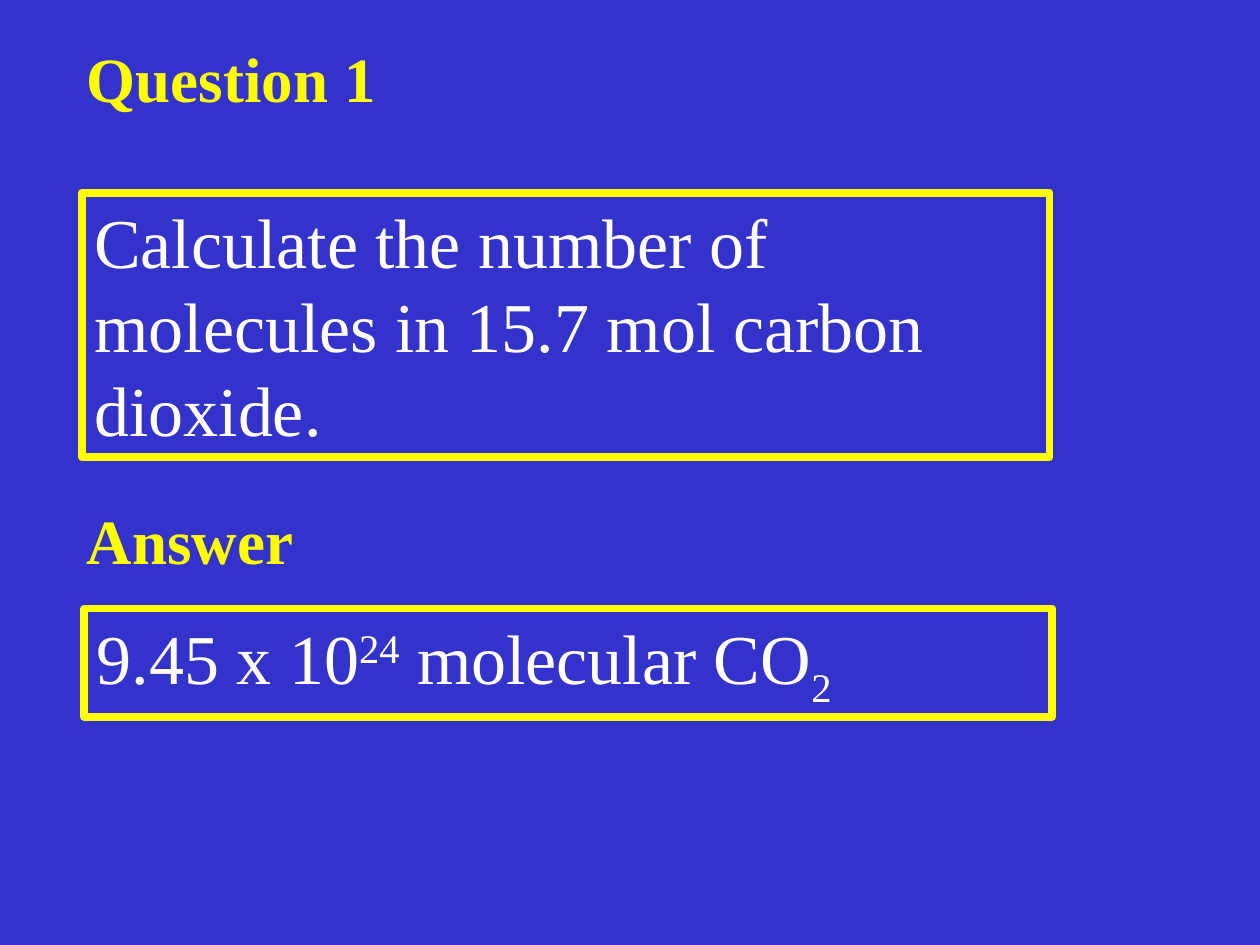
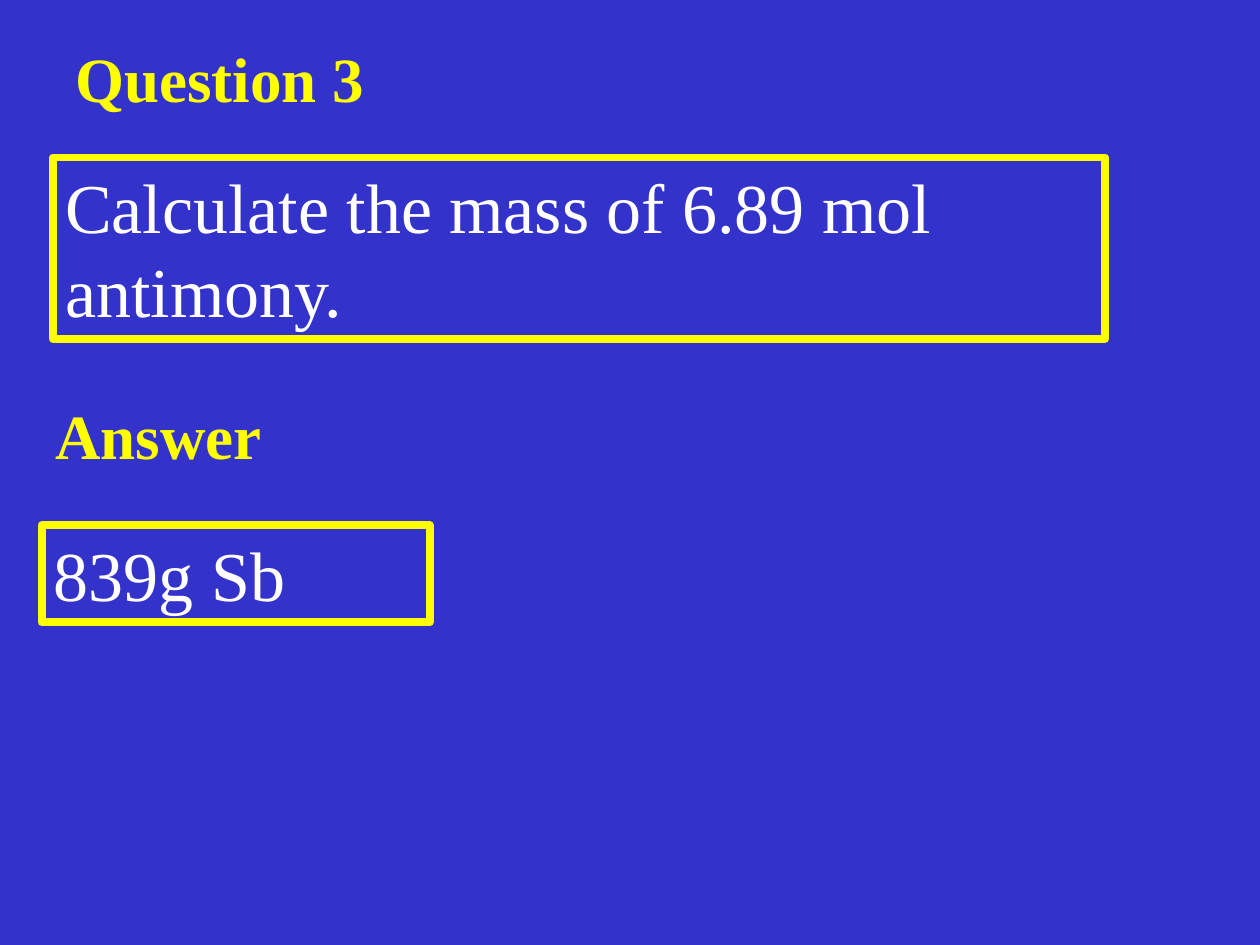
from dataclasses import dataclass

from pptx import Presentation
from pptx.dml.color import RGBColor
from pptx.enum.shapes import MSO_SHAPE
from pptx.enum.text import MSO_ANCHOR, MSO_AUTO_SIZE, PP_ALIGN
from pptx.util import Emu, Pt

# Shared style: 100 px to the inch
EMU_PER_PX = 9144
SLIDE_WIDTH, SLIDE_HEIGHT = 1000, 750
BLUE = RGBColor(0x33, 0x33, 0xCC)
YELLOW = RGBColor(0xFF, 0xFF, 0x00)
WHITE = RGBColor(0xFF, 0xFF, 0xFF)
FONT = "Times New Roman"
HEADING_SIZE, BODY_SIZE = Pt(36), Pt(40)
FRAME_WIDTH = Pt(4.5)
SUPERSCRIPT, SUBSCRIPT = 30000, -25000


@dataclass(frozen=True)
class Box:
    left: int
    top: int
    width: int
    height: int

    def emu(self) -> tuple[Emu, ...]:
        lengths = (self.left, self.top, self.width, self.height)
        return tuple(Emu(length * EMU_PER_PX) for length in lengths)


@dataclass(frozen=True)
class Run:
    text: str
    baseline: int = 0


@dataclass(frozen=True)
class Exercise:
    title: str
    title_box: Box
    question: list[Run]
    question_box: Box
    answer_heading_box: Box
    answer: list[Run]
    answer_box: Box


EXERCISES = [
    Exercise(
        "Question 1", Box(59, 33, 261, 64),
        [Run("Calculate the number of molecules in 15.7 mol carbon dioxide.")],
        Box(65, 153, 768, 210),
        Box(59, 400, 184, 64),
        [Run("9.45 x 10"), Run("24", SUPERSCRIPT),
         Run(" molecular CO"), Run("2", SUBSCRIPT)],
        Box(67, 483, 768, 86),
    ),
    Exercise(
        "Question 3", Box(50, 33, 261, 64),
        [Run("Calculate the mass of 6.89 mol antimony.")],
        Box(42, 125, 835, 144),
        Box(34, 317, 184, 64),
        [Run("839g Sb")],
        Box(33, 417, 308, 77),
    ),
]


def set_text(shape, runs: list[Run], size: Pt, color: RGBColor,
             bold: bool, wrap: bool) -> None:
    """Write one left-aligned paragraph from the top of the shape."""
    frame = shape.text_frame
    frame.word_wrap = wrap
    frame.auto_size = MSO_AUTO_SIZE.SHAPE_TO_FIT_TEXT
    frame.vertical_anchor = MSO_ANCHOR.TOP
    paragraph = frame.paragraphs[0]
    paragraph.alignment = PP_ALIGN.LEFT
    for part in runs:
        run = paragraph.add_run()
        run.text = part.text
        if part.baseline:
            run.font._element.set("baseline", str(part.baseline))
    font = paragraph.font
    font.name, font.size, font.bold = FONT, size, bold
    font.color.rgb = color


def format_heading(shape, text: str) -> None:
    set_text(shape, [Run(text)], HEADING_SIZE, YELLOW, bold=True, wrap=False)
    shape.text_frame.paragraphs[0].line_spacing = 0.9


def add_framed_text(slide, box: Box, runs: list[Run]) -> None:
    shape = slide.shapes.add_shape(MSO_SHAPE.RECTANGLE, *box.emu())
    shape.shadow.inherit = False
    shape.fill.background()
    shape.line.color.rgb = YELLOW
    shape.line.width = FRAME_WIDTH
    set_text(shape, runs, BODY_SIZE, WHITE, bold=False, wrap=True)


def add_exercise(presentation, exercise: Exercise) -> None:
    slide = presentation.slides.add_slide(presentation.slide_layouts[5])

    # Question
    title = slide.shapes.title
    title.left, title.top, title.width, title.height = exercise.title_box.emu()
    format_heading(title, exercise.title)
    add_framed_text(slide, exercise.question_box, exercise.question)

    # Answer
    heading = slide.shapes.add_textbox(*exercise.answer_heading_box.emu())
    format_heading(heading, "Answer")
    add_framed_text(slide, exercise.answer_box, exercise.answer)


def main() -> None:
    presentation = Presentation()
    presentation.slide_width = Emu(SLIDE_WIDTH * EMU_PER_PX)
    presentation.slide_height = Emu(SLIDE_HEIGHT * EMU_PER_PX)
    background = presentation.slide_master.background.fill
    background.solid()
    background.fore_color.rgb = BLUE
    for exercise in EXERCISES:
        add_exercise(presentation, exercise)
    presentation.save("out.pptx")


if __name__ == "__main__":
    main()
